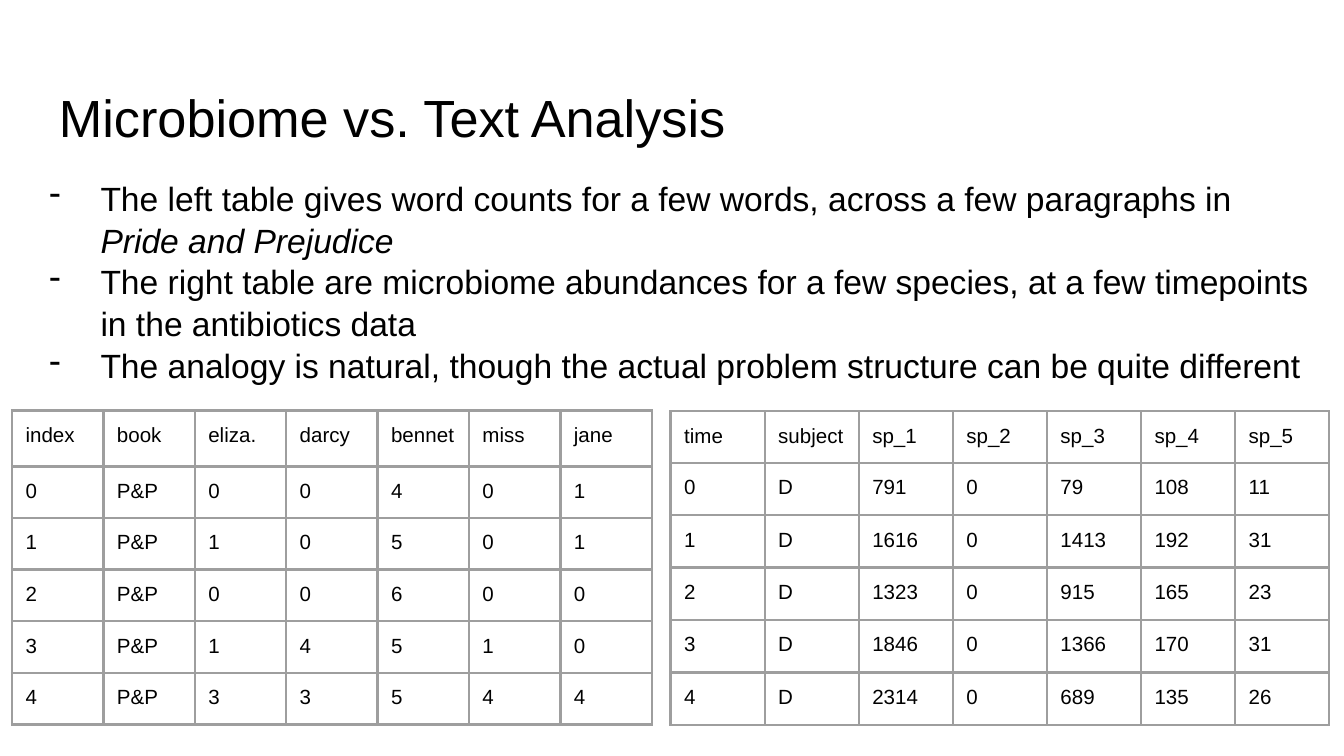
from lxml import etree
from pptx import Presentation
from pptx import util as u
from pptx.dml import color
from pptx.enum import text
from pptx.oxml import ns

COLORS = {"text": "000000", "border": "9E9E9E", "page": "FFFFFF"}
UNIT = 0.1
INSET = 1

WORD_COUNTS = [
    ["index", "book", "eliza.", "darcy", "bennet", "miss", "jane"],
    [0, "P&P", 0, 0, 4, 0, 1],
    [1, "P&P", 1, 0, 5, 0, 1],
    [2, "P&P", 0, 0, 6, 0, 0],
    [3, "P&P", 1, 4, 5, 1, 0],
    [4, "P&P", 3, 3, 5, 4, 4],
]
ABUNDANCES = [
    ["time", "subject", "sp_1", "sp_2", "sp_3", "sp_4", "sp_5"],
    [0, "D", 791, 0, 79, 108, 11],
    [1, "D", 1616, 0, 1413, 192, 31],
    [2, "D", 1323, 0, 915, 165, 23],
    [3, "D", 1846, 0, 1366, 170, 31],
    [4, "D", 2314, 0, 689, 135, 26],
]
POINTS = [
    [("The left table gives word counts for a few words, across a few paragraphs in ", False),
     ("Pride and Prejudice", True)],
    [("The right table are microbiome abundances for a few species, "
      "at a few timepoints in the antibiotics data", False)],
    [("The analogy is natural, though the actual problem structure can be quite different", False)],
]


def grid(n):
    return u.Inches(n * UNIT)


def rgb(name):
    return color.RGBColor.from_string(COLORS[name])


class Deck:
    font = "Arial"

    def __init__(self, cols, rows):
        self.prs = Presentation()
        self.prs.slide_width, self.prs.slide_height = grid(cols), grid(rows)
        self.s = self.prs.slides.add_slide(self.prs.slide_layouts[6])
        self.s.background.fill.solid()
        self.s.background.fill.fore_color.rgb = rgb("page")

    def style(self, r, size, italic=False):
        r.font.name, r.font.size = self.font, u.Pt(size)
        r.font.italic = italic
        r.font.color.rgb = rgb("text")

    def box(self, x, y, w, h):
        tf = self.s.shapes.add_textbox(*map(grid, (x, y, w, h))).text_frame
        tf.word_wrap = True
        tf.vertical_anchor = text.MSO_ANCHOR.TOP
        tf.margin_left = tf.margin_right = grid(INSET)
        tf.margin_top = tf.margin_bottom = grid(INSET)
        return tf

    def title(self, words, x, y, w, h):
        p = self.box(x, y, w, h).paragraphs[0]
        p.text = words
        p.line_spacing = 1.1
        self.style(p.runs[0], 28)

    def bullets(self, points, x, y, w, h):
        tf = self.box(x, y, w, h)
        for i, parts in enumerate(points):
            p = tf.add_paragraph() if i else tf.paragraphs[0]
            p.line_spacing = 1.04
            pr = p._p.get_or_add_pPr()
            pr.set("marL", str(grid(5)))
            pr.set("indent", str(-grid(3.8)))
            etree.SubElement(pr, ns.qn("a:buChar")).set("char", "-")
            for words, italic in parts:
                r = p.add_run()
                r.text = words
                self.style(r, 18, italic)

    def border(self, cell):
        pr = cell._tc.get_or_add_tcPr()
        for i, side in enumerate("LRTB"):
            ln = etree.Element(ns.qn(f"a:ln{side}"), w=str(u.Pt(1.5)))
            fill = etree.SubElement(ln, ns.qn("a:solidFill"))
            etree.SubElement(fill, ns.qn("a:srgbClr")).set("val", COLORS["border"])
            pr.insert(i, ln)

    def table(self, data, x, y, col, head, row):
        n, m = len(data), len(data[0])
        size = (x, y, col * m, head + row * (n - 1))
        table = self.s.shapes.add_table(n, m, *map(grid, size)).table
        table.first_row = table.horz_banding = False
        for c in table.columns:
            c.width = grid(col)
        for i, values in enumerate(data):
            table.rows[i].height = grid(row if i else head)
            for j, value in enumerate(values):
                cell = table.cell(i, j)
                cell.margin_left = cell.margin_right = grid(INSET)
                cell.margin_top = cell.margin_bottom = grid(INSET)
                cell.fill.background()
                self.border(cell)
                cell.text_frame.text = str(value)
                self.style(cell.text_frame.paragraphs[0].runs[0], 11)


def main():
    deck = Deck(100, 56.25)
    deck.title("Microbiome vs. Text Analysis", 3.4, 4.9, 93.2, 6.3)
    deck.table(WORD_COUNTS, 0.9, 30.55, col=6.8, head=4.15, row=3.7)
    deck.table(ABUNDANCES, 49.9, 30.6, col=7, head=3.7, row=3.9)
    deck.bullets(POINTS, 1.5, 12.1, 97.6, 17)
    deck.prs.save("out.pptx")


if __name__ == "__main__":
    main()
